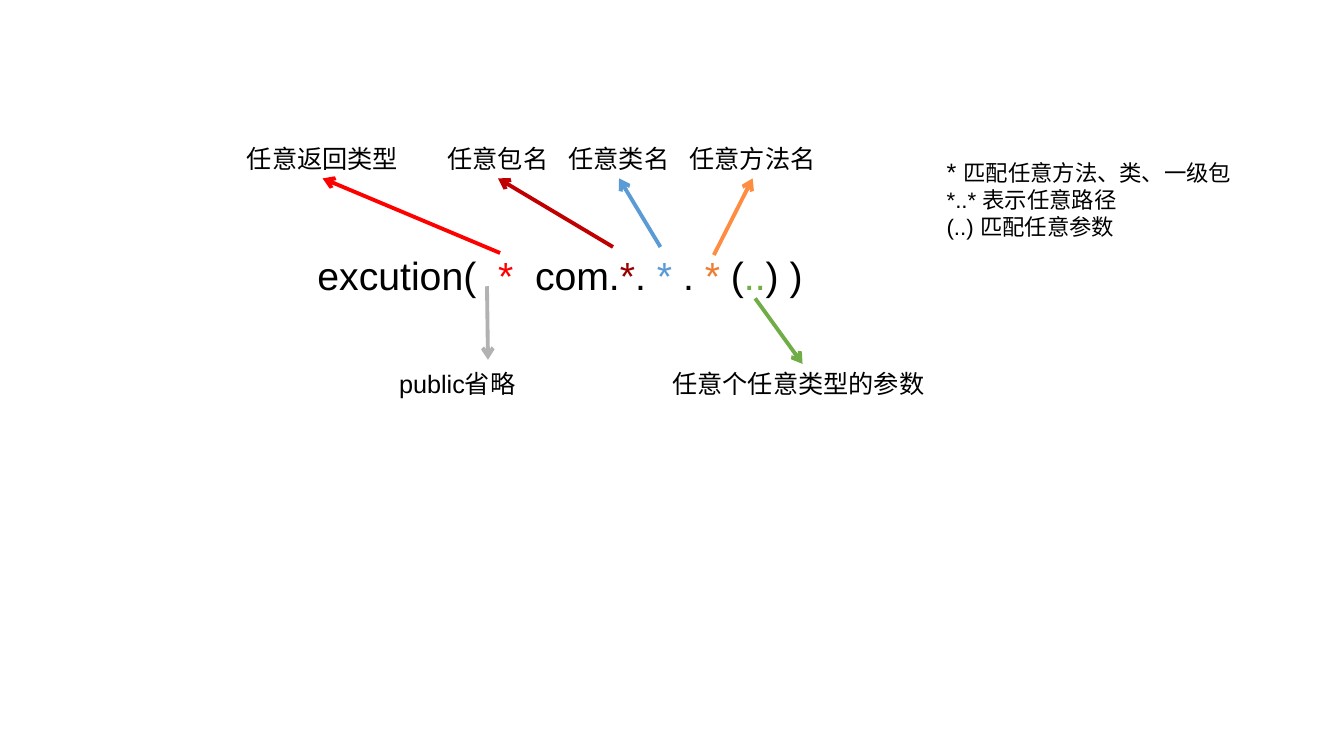
from lxml.etree import SubElement
from pptx import Presentation
from pptx.dml.color import RGBColor
from pptx.enum.shapes import MSO_CONNECTOR
from pptx.enum.text import MSO_AUTO_SIZE
from pptx.oxml.ns import qn
from pptx.util import Inches, Pt

COLORS = {
    "text": "000000",
    "return": "FF0000",
    "package": "990000",
    "package_arrow": "C00000",
    "class": "5B9BD5",
    "method": "ED7D31",
    "method_arrow": "FF8D41",
    "params": "70AD47",
    "public": "B2B2B2",
}
BOTTOM = 2


class Diagram:
    font = "Arial"
    label_size = 18
    arrow_width = 2.75

    def __init__(self, slide):
        self.slide = slide

    def text(self, left, top, width, height, paragraphs, wrap=False):
        box = self.slide.shapes.add_textbox(
            Inches(left), Inches(top), Inches(width), Inches(height))
        frame = box.text_frame
        frame.word_wrap = wrap
        frame.auto_size = MSO_AUTO_SIZE.SHAPE_TO_FIT_TEXT
        for index, runs in enumerate(paragraphs):
            paragraph = frame.add_paragraph() if index else frame.paragraphs[0]
            for words, size, color in runs:
                run = paragraph.add_run()
                run.text = words
                run.font.name = self.font
                run.font.size = Pt(size)
                run.font.color.rgb = RGBColor.from_string(COLORS[color])
        return box

    def label(self, left, top, words, width=None, wrap=False):
        width = width or 0.2 + 0.25 * len(words)
        return self.text(left, top, width, 0.4,
                         [[(words, self.label_size, "text")]], wrap)

    def arrow(self, start, end, color, label=None):
        points = [Inches(value) for value in (*start, *end)]
        arrow = self.slide.shapes.add_connector(MSO_CONNECTOR.STRAIGHT, *points)
        if label is not None:
            arrow.end_connect(label, BOTTOM)
        arrow.line.color.rgb = RGBColor.from_string(COLORS[color])
        arrow.line.width = Pt(self.arrow_width)
        SubElement(arrow.line._get_or_add_ln(), qn("a:tailEnd"), type="arrow")
        SubElement(arrow._element.spPr, qn("a:effectLst"))


def main():
    presentation = Presentation()
    presentation.slide_width = Inches(13.33)
    presentation.slide_height = Inches(7.5)
    diagram = Diagram(presentation.slides.add_slide(presentation.slide_layouts[6]))

    expression = [
        ("excution(  ", "text"), ("*", "return"), ("  com.", "text"),
        ("*", "package"), (". ", "text"), ("*", "class"), (" . ", "text"),
        ("*", "method"), (" (", "text"), ("..", "params"), (") )", "text"),
    ]
    diagram.text(3.05, 2.44, 5.02, 0.57,
                 [[(words, 28, color) for words, color in expression]])

    diagram.text(9.29, 1.5, 3.03, 1.21, [
        [("* ", 18, "text"), ("匹配任意方法、类、一级包", 16, "text")],
        [("*..* 表示任意路径", 16, "text")],
        [("(..) 匹配任意参数", 16, "text")],
    ], wrap=True)

    label_top, label_bottom = 1.37, 1.77
    for words, left, start, color in [
        ("任意返回类型", 2.35, (4.96, 2.51), "return"),
        ("任意包名", 4.34, (6.08, 2.45), "package_arrow"),
        ("任意类名", 5.54, (6.55, 2.45), "class"),
        ("任意方法名", 6.74, (7.08, 2.53), "method_arrow"),
    ]:
        label = diagram.label(left, label_top, words)
        diagram.arrow(start, (left, label_bottom), color, label)

    diagram.arrow((7.49, 2.96), (7.96, 3.61), "params")
    diagram.label(6.57, 3.61, "任意个任意类型的参数")
    diagram.arrow((4.83, 2.84), (4.84, 3.57), "public")
    diagram.label(3.86, 3.61, "public省略", width=1.35, wrap=True)

    presentation.save("out.pptx")


if __name__ == "__main__":
    main()
